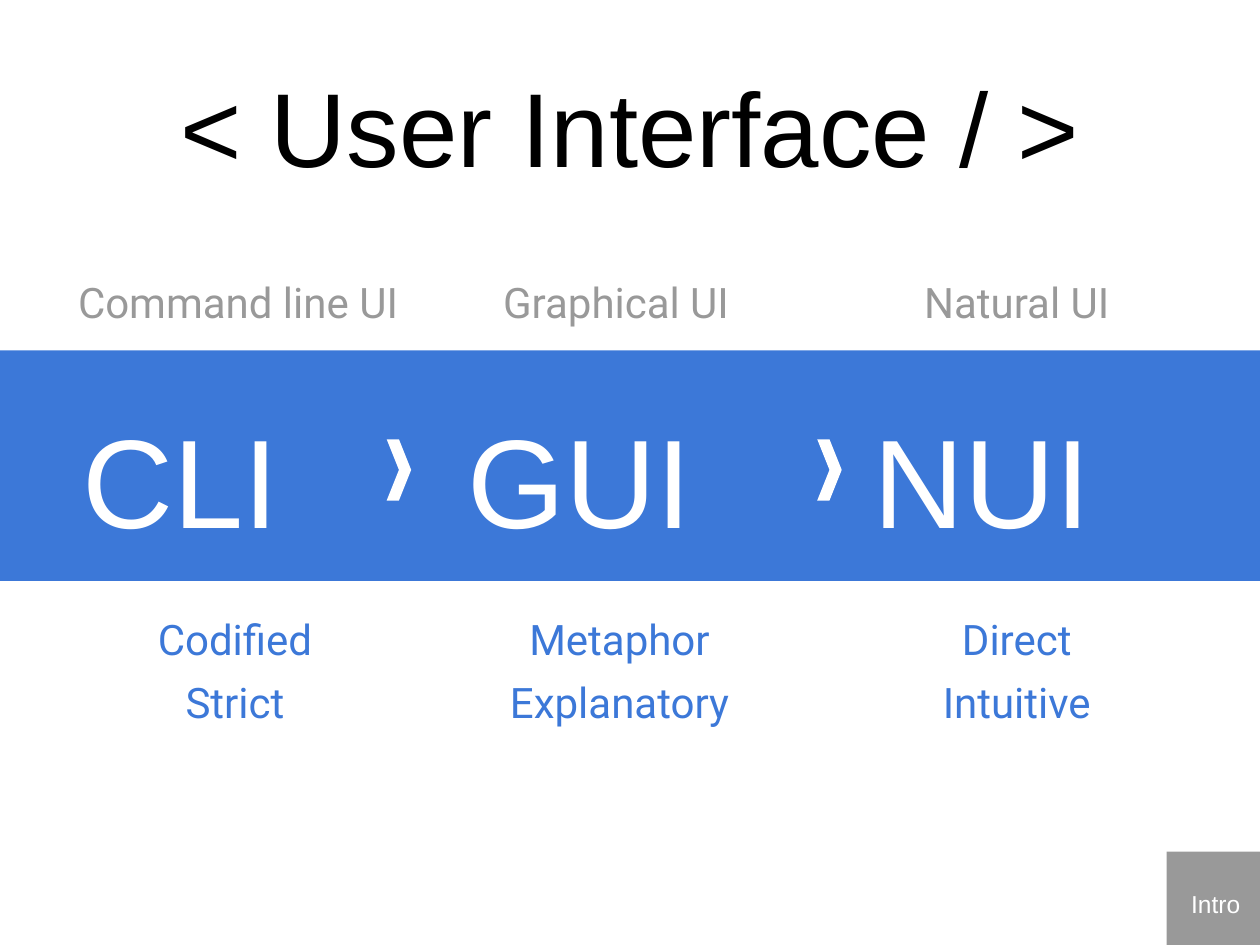
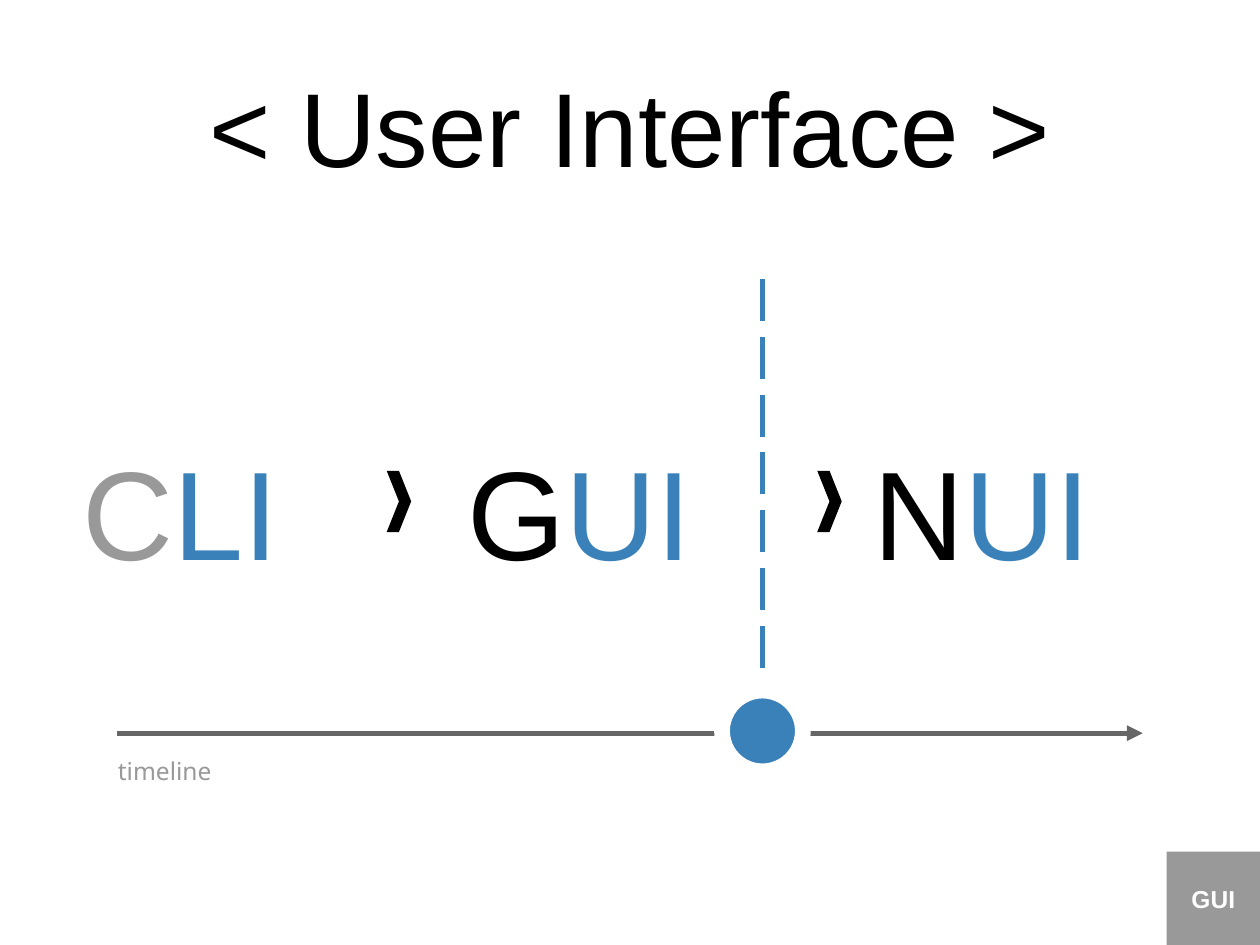
import pptx
import pptx.util
import pptx.dml.color
import pptx.enum.dml
import pptx.enum.shapes
import pptx.enum.text
import pptx.oxml
import pptx.oxml.ns
import lxml.etree

Pt = pptx.util.Pt
SHAPE = pptx.enum.shapes.MSO_SHAPE
ANCHOR = pptx.enum.text.MSO_ANCHOR
ALIGN = pptx.enum.text.PP_ALIGN

COLORS = {
    "black": "000000",
    "white": "FFFFFF",
    "gray": "999999",
    "dark gray": "666666",
    "band blue": "3C78D8",
    "accent blue": "3A81BA",
}

INTRO_TITLE = "< User Interface / >"
TIMELINE_TITLE = "< User Interface >"

INTERFACES = [
    {"term": "CLI", "name": "Command line UI", "traits": ["Codified", "Strict"]},
    {"term": "GUI", "name": "Graphical UI", "traits": ["Metaphor", "Explanatory"]},
    {"term": "NUI", "name": "Natural UI", "traits": ["Direct", "Intuitive"]},
]
INITIAL_COLORS = ["gray", "black", "black"]
TIMELINE_LABEL = "timeline"
INTRO_TAG = "Intro"
TIMELINE_TAG = "GUI"

# Columns, in points
TERM_SPANS = [(37.5, 171), (249, 204.5), (495.5, 171)]
NAME_CENTERS = [136, 352, 581]
TRAIT_CENTERS = [134.3, 354, 581]
CHEVRON_LEFTS = [221, 467]
NAME_WIDTH, TRAIT_WIDTH, LINE_HEIGHT = 218, 148, 36
TERM_HEIGHT = 77
TAG_SIZE = 53.3
PADDING = (7.2, 7.2, 7.2, 7.2)


def rgb(color):
    return pptx.dml.color.RGBColor.from_string(COLORS[color])


def write(frame, text, *, size, color, font="Arial", bold=False,
          align=ALIGN.CENTER, anchor=ANCHOR.MIDDLE, padding=PADDING):
    """Fill a text frame; text is a string or a list of (string, color) runs."""
    frame.word_wrap = True
    frame.auto_size = pptx.enum.text.MSO_AUTO_SIZE.NONE
    frame.vertical_anchor = anchor
    (frame.margin_left, frame.margin_top,
     frame.margin_right, frame.margin_bottom) = map(Pt, padding)
    paragraph = frame.paragraphs[0]
    paragraph.alignment = align
    for words, run_color in [(text, color)] if isinstance(text, str) else text:
        run = paragraph.add_run()
        run.text = words
        run.font.name = font
        run.font.size = Pt(size)
        run.font.bold = bold
        run.font.color.rgb = rgb(run_color)


def add_text(slide, text, left, top, width, height, **text_format):
    box = slide.shapes.add_textbox(Pt(left), Pt(top), Pt(width), Pt(height))
    write(box.text_frame, text, **text_format)


def add_filled(slide, preset, left, top, width, height, color):
    shape = slide.shapes.add_shape(preset, Pt(left), Pt(top), Pt(width), Pt(height))
    shape.shadow.inherit = False
    shape.fill.solid()
    shape.fill.fore_color.rgb = rgb(color)
    shape.line.fill.background()
    return shape


def add_line(slide, start, end, color):
    line = slide.shapes.add_connector(
        pptx.enum.shapes.MSO_CONNECTOR.STRAIGHT, *map(Pt, start + end))
    line.line.width = Pt(3)
    line.line.color.rgb = rgb(color)
    lxml.etree.SubElement(line._element.spPr, pptx.oxml.ns.qn("a:effectLst"))
    return line


def add_titled_slide(deck, title):
    slide = deck.slides.add_slide(deck.slide_layouts[5])
    heading = slide.shapes.title
    heading.left, heading.top = Pt(0), Pt(23)
    heading.width, heading.height = Pt(720), Pt(91)
    write(heading.text_frame, title, size=60, color="black",
          padding=(7.2, 14, 7.2, 7.2))
    return slide


def add_tag_square(slide):
    return add_filled(slide, SHAPE.RECTANGLE, 720 - TAG_SIZE, 540 - TAG_SIZE,
                      TAG_SIZE, TAG_SIZE, "gray")


def add_term_row(slide, top, terms, chevron_color):
    """Place the three large terms with a chevron between neighbours."""
    for (left, width), runs in zip(TERM_SPANS, terms):
        add_text(slide, runs, left, top, width, TERM_HEIGHT, size=72,
                 color="white", padding=(0, 8, 40, 0))
    for left in CHEVRON_LEFTS:
        add_filled(slide, SHAPE.CHEVRON, left, top + 20, 14, 35, chevron_color)


def build_intro(deck):
    slide = add_titled_slide(deck, INTRO_TITLE)
    add_filled(slide, SHAPE.RECTANGLE, 0, 200.3, 720, 131.7, "band blue")
    add_term_row(slide, 231, [entry["term"] for entry in INTERFACES], "white")
    for entry, name_center, trait_center in zip(
            INTERFACES, NAME_CENTERS, TRAIT_CENTERS):
        add_text(slide, entry["name"], name_center - NAME_WIDTH / 2, 151,
                 NAME_WIDTH, LINE_HEIGHT, size=24, font="Roboto", color="gray",
                 anchor=ANCHOR.TOP)
        for row, trait in enumerate(entry["traits"]):
            add_text(slide, trait, trait_center - TRAIT_WIDTH / 2,
                     343.5 + row * LINE_HEIGHT, TRAIT_WIDTH, LINE_HEIGHT,
                     size=24, font="Roboto", color="band blue", anchor=ANCHOR.TOP)
    add_tag_square(slide)
    add_text(slide, INTRO_TAG, 669.5, 504, 50.5, 25, size=14, color="white")


def build_timeline(deck):
    slide = add_titled_slide(deck, TIMELINE_TITLE)
    arrow = add_line(slide, (67, 419), (653, 419), "dark gray")
    lxml.etree.SubElement(arrow.line._get_or_add_ln(),
                          pptx.oxml.ns.qn("a:tailEnd"), type="triangle")
    divider = add_line(slide, (435.7, 381.7), (435.7, 159), "accent blue")
    divider.line.dash_style = pptx.enum.dml.MSO_LINE.LONG_DASH
    today = add_filled(slide, SHAPE.OVAL, 412.6, 394.6, 46.2, 46.2, "accent blue")
    today.line.color.rgb = rgb("white")
    today.line.width = Pt(9)
    add_text(slide, TIMELINE_LABEL, 60.3, 425, 288, LINE_HEIGHT, size=14,
             font="Noto Sans", color="gray", align=ALIGN.LEFT, anchor=ANCHOR.TOP)
    write(add_tag_square(slide).text_frame, TIMELINE_TAG, size=14,
          color="white", bold=True)
    terms = [[(entry["term"][0], initial), (entry["term"][1:], "accent blue")]
             for entry, initial in zip(INTERFACES, INITIAL_COLORS)]
    add_term_row(slide, 249, terms, "black")


def main():
    deck = pptx.Presentation()
    deck.slide_width, deck.slide_height = Pt(720), Pt(540)
    build_intro(deck)
    build_timeline(deck)
    deck.save("out.pptx")


if __name__ == "__main__":
    main()
